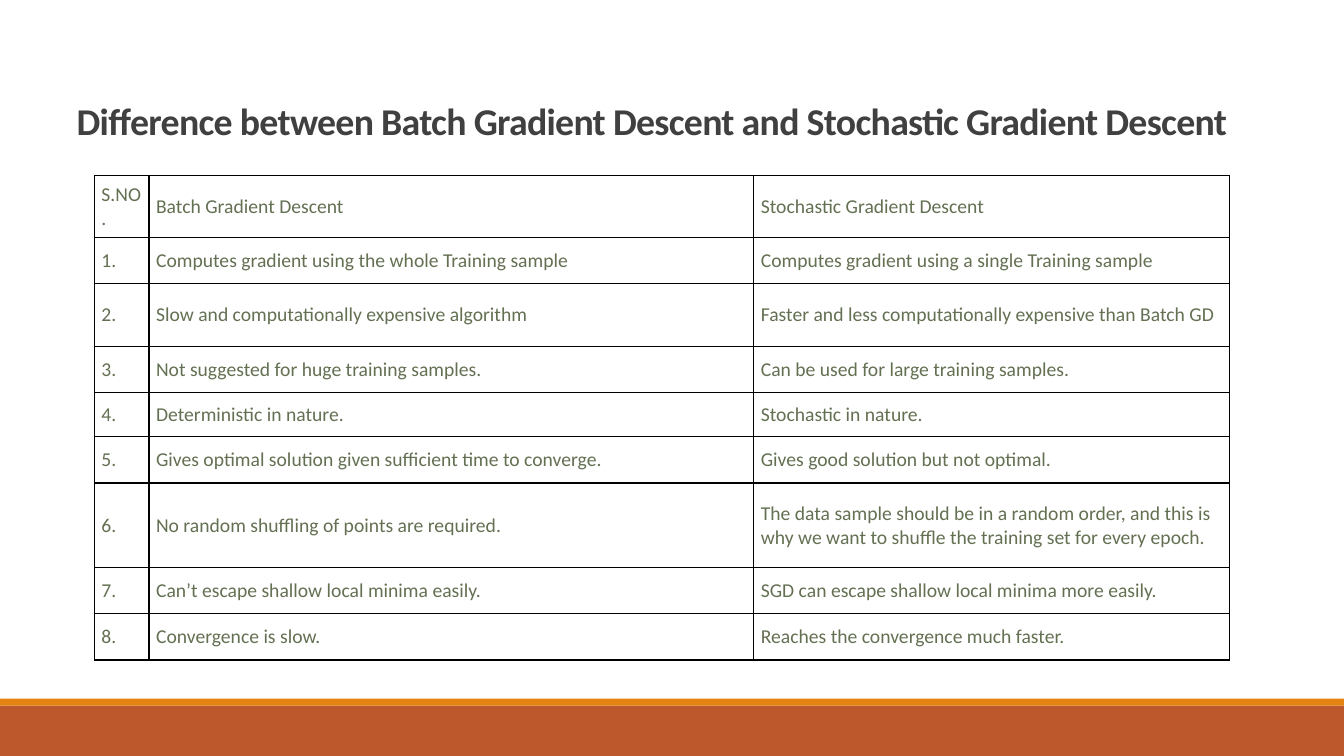
from lxml.etree import SubElement
from pptx import Presentation
from pptx.dml.color import RGBColor
from pptx.enum.shapes import MSO_SHAPE as Shape
from pptx.enum.text import MSO_ANCHOR as Anchor, PP_ALIGN as Align
from pptx.oxml.ns import qn
from pptx.util import Pt

FONT = "Calibri"
SLIDE_WIDTH, SLIDE_HEIGHT = 960, 540
COLUMN_WIDTHS = [39, 432, 340]
ROW_HEIGHTS = [41, 33, 45, 33, 30, 33, 60.5, 33, 33]
HEADINGS = ("S.NO.", "Batch Gradient Descent", "Stochastic Gradient Descent")
DIFFERENCES = [
    ("Computes gradient using the whole Training sample",
     "Computes gradient using a single Training sample"),
    ("Slow and computationally expensive algorithm",
     "Faster and less computationally expensive than Batch GD"),
    ("Not suggested for huge training samples.",
     "Can be used for large training samples."),
    ("Deterministic in nature.", "Stochastic in nature."),
    ("Gives optimal solution given sufficient time to converge.",
     "Gives good solution but not optimal."),
    ("No random shuffling of points are required.",
     "The data sample should be in a random order, and this is why we want "
     "to shuffle the training set for every epoch."),
    ("Can’t escape shallow local minima easily.",
     "SGD can escape shallow local minima more easily."),
    ("Convergence is slow.", "Reaches the convergence much faster."),
]


def color(value):
    return RGBColor.from_string(value)


def paint(target, value):
    target.fill.solid()
    target.fill.fore_color.rgb = color(value)


def add_span(para, text, size, value, bold=False):
    span = para.add_run()
    span.text = text
    span.font.name = FONT
    span.font.size = Pt(size)
    span.font.bold = bold
    span.font.color.rgb = color(value)
    return span


def add_band(page, left, top, width, height, value):
    band = page.shapes.add_shape(
        Shape.RECTANGLE, Pt(left), Pt(top), Pt(width), Pt(height))
    band.shadow.inherit = False
    band.line.fill.background()
    paint(band, value)


def add_footer(page, left, top, width, height):
    """Draw a thin orange stripe on top of a rust band."""
    stripe = 5
    add_band(page, left, top + stripe, width, height - stripe, "BD582C")
    add_band(page, left, top, width, stripe, "E48312")


def place_title(page, left, top, width, height):
    title = page.shapes.title
    title.left, title.top = Pt(left), Pt(top)
    title.width, title.height = Pt(width), Pt(height)
    title.text_frame.word_wrap = True
    title.text_frame.vertical_anchor = Anchor.BOTTOM
    para = title.text_frame.paragraphs[0]
    para.alignment = Align.LEFT
    para.line_spacing = 0.85
    span = add_span(
        para,
        "Difference between Batch Gradient Descent and Stochastic Gradient Descent",
        27, "404040", bold=True)
    span.font._element.set("spc", "-50")


def add_borders(cell, value, width):
    properties = cell._tc.get_or_add_tcPr()
    for side in ("a:lnL", "a:lnR", "a:lnT", "a:lnB"):
        line = SubElement(properties, qn(side), w=str(Pt(width)))
        fill = SubElement(line, qn("a:solidFill"))
        SubElement(fill, qn("a:srgbClr"), val=value)


def fill_cell(cell, text, vertical_margin):
    cell.margin_left = cell.margin_right = Pt(5)
    cell.margin_top = cell.margin_bottom = Pt(vertical_margin)
    cell.vertical_anchor = Anchor.MIDDLE
    add_borders(cell, "000000", 1)
    paint(cell, "FFFFFF")
    add_span(cell.text_frame.paragraphs[0], text, 14, "637052")


def add_comparison(page, left, top):
    rows = [HEADINGS] + [
        (f"{number}.", *pair) for number, pair in enumerate(DIFFERENCES, 1)]
    table = page.shapes.add_table(
        len(rows), len(HEADINGS), Pt(left), Pt(top),
        Pt(sum(COLUMN_WIDTHS)), Pt(sum(ROW_HEIGHTS))).table
    table.first_row = table.horz_banding = False
    for column, width in zip(table.columns, COLUMN_WIDTHS):
        column.width = Pt(width)
    for row, height in zip(table.rows, ROW_HEIGHTS):
        row.height = Pt(height)
    for row_index, texts in enumerate(rows):
        margin = 7.2 if row_index else 5
        for column_index, text in enumerate(texts):
            fill_cell(table.cell(row_index, column_index), text, margin)


def main():
    deck = Presentation()
    deck.slide_width, deck.slide_height = Pt(SLIDE_WIDTH), Pt(SLIDE_HEIGHT)
    page = deck.slides.add_slide(deck.slide_layouts[5])
    paint(page.background, "FFFFFF")
    add_footer(page, 0, 499, SLIDE_WIDTH, SLIDE_HEIGHT - 499)
    place_title(page, 47.5, -8.5, 909.5 - 2, 114.5)
    add_comparison(page, 67.5, 125.5)
    deck.save("out.pptx")


if __name__ == "__main__":
    main()
